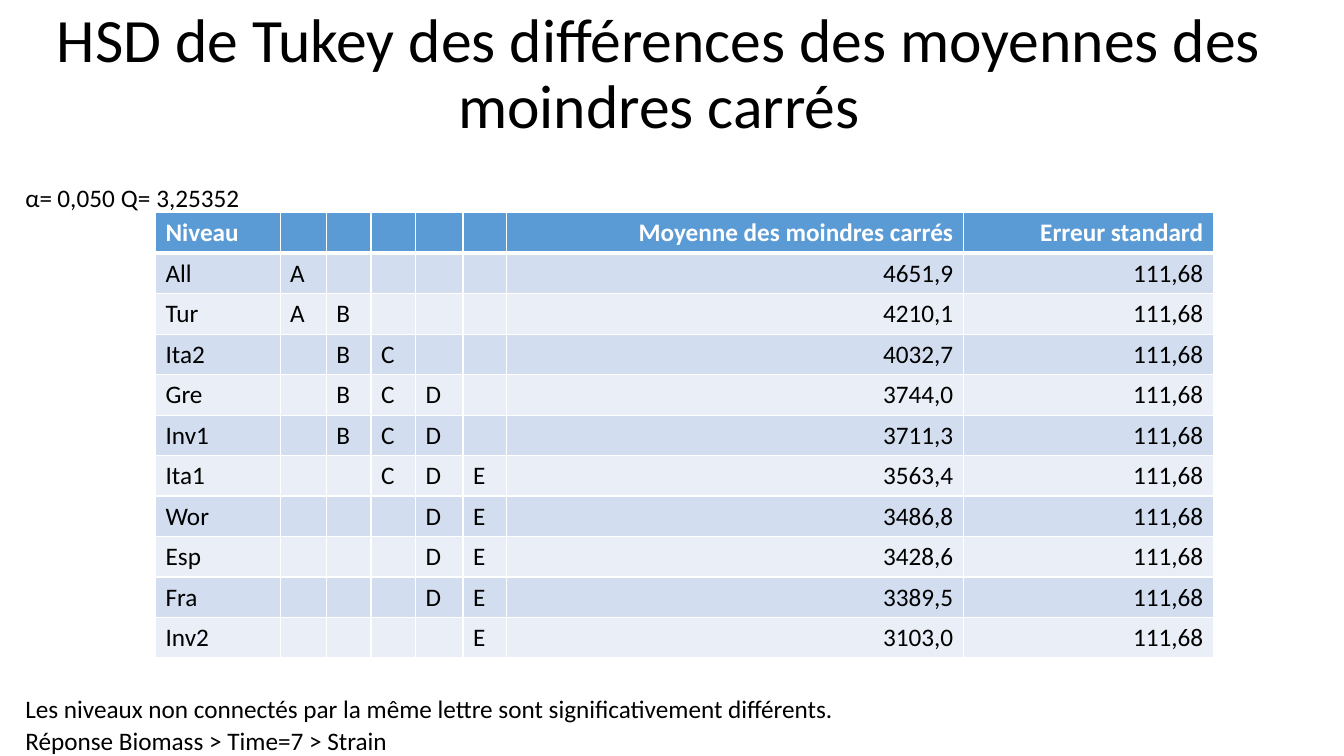
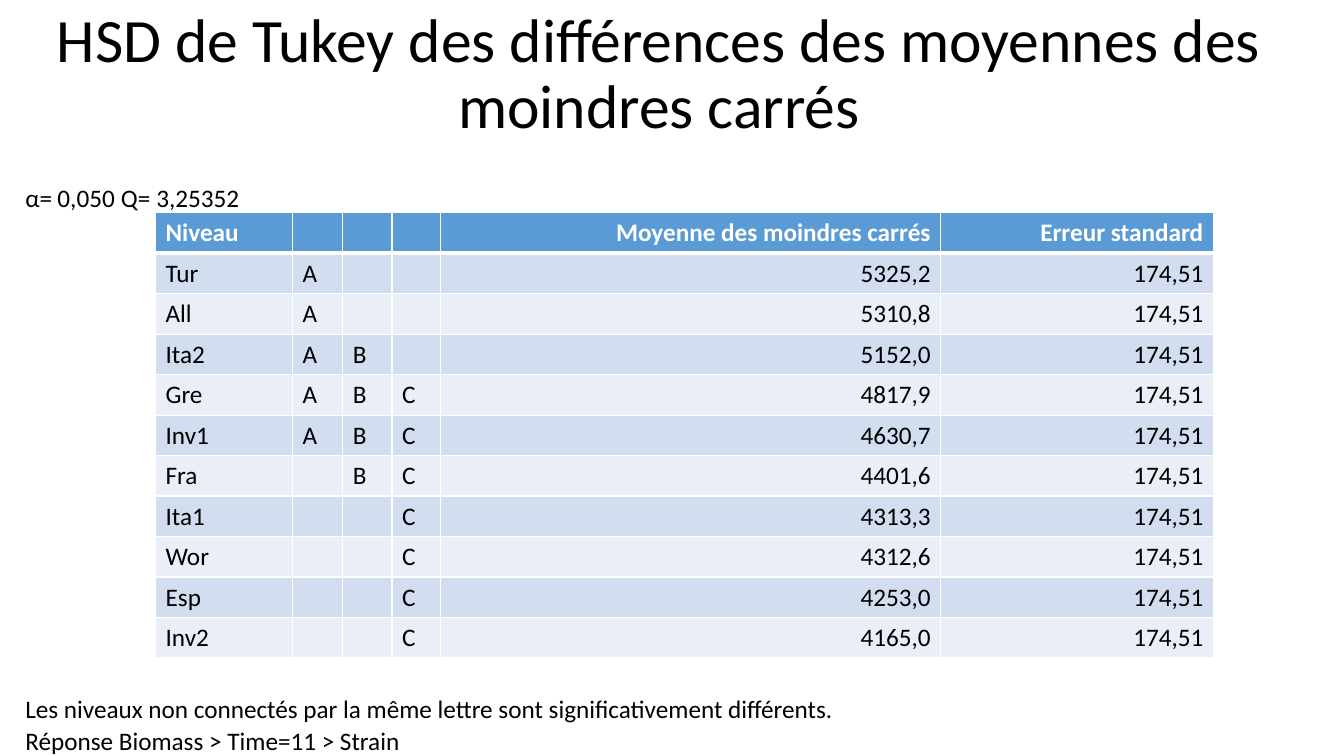
from dataclasses import dataclass

from lxml import etree
from pptx import Presentation
from pptx.dml.color import RGBColor
from pptx.enum.text import MSO_ANCHOR, MSO_AUTO_SIZE, PP_ALIGN
from pptx.oxml.ns import qn
from pptx.util import Cm, Pt

LEFT, CENTER, RIGHT = PP_ALIGN.LEFT, PP_ALIGN.CENTER, PP_ALIGN.RIGHT
MIDDLE = MSO_ANCHOR.MIDDLE
FIT_SHAPE, NO_FIT = MSO_AUTO_SIZE.SHAPE_TO_FIT_TEXT, MSO_AUTO_SIZE.NONE
TITLE_ONLY = 5


@dataclass(frozen=True)
class Theme:
    font: str = "Calibri"
    title_size: int = 44
    body_size: int = 18
    header_rule: int = 3
    ink: str = "000000"
    header_ink: str = "FFFFFF"
    header_fill: str = "5B9BD5"
    rule: str = "FFFFFF"
    bands: tuple = ("D2DEEF", "EAEFF7")


def set_all(target, values):
    for name, value in values.items():
        setattr(target, name, value)


class Deck:
    """Holds the style and the slide being built."""

    def __init__(self, theme):
        self.theme = theme
        self.slide = None
        self.presentation = Presentation()
        set_all(self.presentation, {"slide_width": Cm(33.87), "slide_height": Cm(19.05)})

    def format_text(self, paragraph, size, color, align=LEFT, bold=False):
        paragraph.alignment = align
        set_all(paragraph.font, {"name": self.theme.font, "size": Pt(size), "bold": bold})
        paragraph.font.color.rgb = RGBColor.from_string(color)

    def add_slide(self, title):
        layout = self.presentation.slide_layouts[TITLE_ONLY]
        self.slide = self.presentation.slides.add_slide(layout)
        heading = self.slide.shapes.title
        set_all(heading, {"left": 0, "top": 0, "width": Cm(33.22), "height": Cm(3.81)})
        frame = heading.text_frame
        set_all(frame, {"text": title, "word_wrap": True, "auto_size": NO_FIT,
                        "vertical_anchor": MIDDLE})
        line = frame.paragraphs[0]
        line.line_spacing = 0.9
        self.format_text(line, self.theme.title_size, self.theme.ink, CENTER)

    def add_label(self, text, left, top, width):
        box = self.slide.shapes.add_textbox(Cm(left), Cm(top), Cm(width), Cm(0.78))
        frame = box.text_frame
        set_all(frame, {"text": text, "word_wrap": False, "auto_size": FIT_SHAPE,
                        "margin_left": 0, "margin_top": 0,
                        "margin_right": 0, "margin_bottom": 0})
        self.format_text(frame.paragraphs[0], self.theme.body_size, self.theme.ink)

    def rule_below(self, cell):
        # Cell borders come before the fill in the cell properties
        border = etree.Element(qn("a:lnB"), w=str(Pt(self.theme.header_rule)))
        fill = etree.SubElement(border, qn("a:solidFill"))
        etree.SubElement(fill, qn("a:srgbClr"), val=self.theme.rule)
        cell._tc.get_or_add_tcPr().insert(0, border)

    def add_table(self, rows, widths):
        row_height = Cm(1.02)
        table = self.slide.shapes.add_table(
            len(rows), len(widths), Cm(3.92), Cm(5.36),
            Cm(sum(widths)), row_height * len(rows)).table
        for column, width in zip(table.columns, widths):
            column.width = Cm(width)
        for r, row in enumerate(rows):
            table.rows[r].height = row_height
            header = r == 0
            fill = self.theme.header_fill if header else self.theme.bands[(r - 1) % 2]
            ink = self.theme.header_ink if header else self.theme.ink
            for c, text in enumerate(row):
                cell = table.cell(r, c)
                cell.text = text
                cell.fill.solid()
                cell.fill.fore_color.rgb = RGBColor.from_string(fill)
                if header:
                    self.rule_below(cell)
                # The last two columns hold numbers
                align = RIGHT if c >= len(row) - 2 else LEFT
                self.format_text(cell.text_frame.paragraphs[0],
                                 self.theme.body_size, ink, align, header)


# Wording shared by the slides
TITLE = "HSD de Tukey des différences des moyennes des moindres carrés"
CONCLUSION = ("Les niveaux non connectés par la même lettre "
              "sont significativement différents.")
MARGIN = 0.64
PARAMETERS = [("α=", MARGIN, 0.8), ("0,050", 1.45, 1.6),
              ("Q=", 3.05, 0.88), ("3,25352", 3.94, 2.3)]

# Results for each time: level, connecting letters, mean
RESULTS = [
    {"time": 7, "groups": "ABCDE", "error": "111,68",
     "widths": [3.14, 1.16, 1.13, 1.12, 1.2, 1.09, 11.52, 6.3],
     "levels": [("All", "A", "4651,9"), ("Tur", "AB", "4210,1"),
                ("Ita2", "BC", "4032,7"), ("Gre", "BCD", "3744,0"),
                ("Inv1", "BCD", "3711,3"), ("Ita1", "CDE", "3563,4"),
                ("Wor", "DE", "3486,8"), ("Esp", "DE", "3428,6"),
                ("Fra", "DE", "3389,5"), ("Inv2", "E", "3103,0")]},
    {"time": 11, "groups": "ABC", "error": "174,51",
     "widths": [3.45, 1.27, 1.24, 1.23, 12.6, 6.87],
     "levels": [("Tur", "A", "5325,2"), ("All", "A", "5310,8"),
                ("Ita2", "AB", "5152,0"), ("Gre", "ABC", "4817,9"),
                ("Inv1", "ABC", "4630,7"), ("Fra", "BC", "4401,6"),
                ("Ita1", "C", "4313,3"), ("Wor", "C", "4312,6"),
                ("Esp", "C", "4253,0"), ("Inv2", "C", "4165,0")]},
]


def tukey_rows(result):
    groups = result["groups"]
    rows = [["Niveau", *[""] * len(groups),
             "Moyenne des moindres carrés", "Erreur standard"]]
    for level, letters, mean in result["levels"]:
        marks = [group if group in letters else "" for group in groups]
        rows.append([level, *marks, mean, result["error"]])
    return rows


def main():
    deck = Deck(Theme())
    for result in RESULTS:
        deck.add_slide(TITLE)
        # Test parameters
        for text, left, width in PARAMETERS:
            deck.add_label(text, left, 4.6, width)
        # Connecting letters report
        deck.add_table(tukey_rows(result), result["widths"])
        # Conclusion and response
        deck.add_label(CONCLUSION, MARGIN, 17.48, 20.8)
        deck.add_label(f"Réponse Biomass > Time={result['time']} > Strain",
                       MARGIN, 18.27, 9.8)
    deck.presentation.save("out.pptx")


if __name__ == "__main__":
    main()
